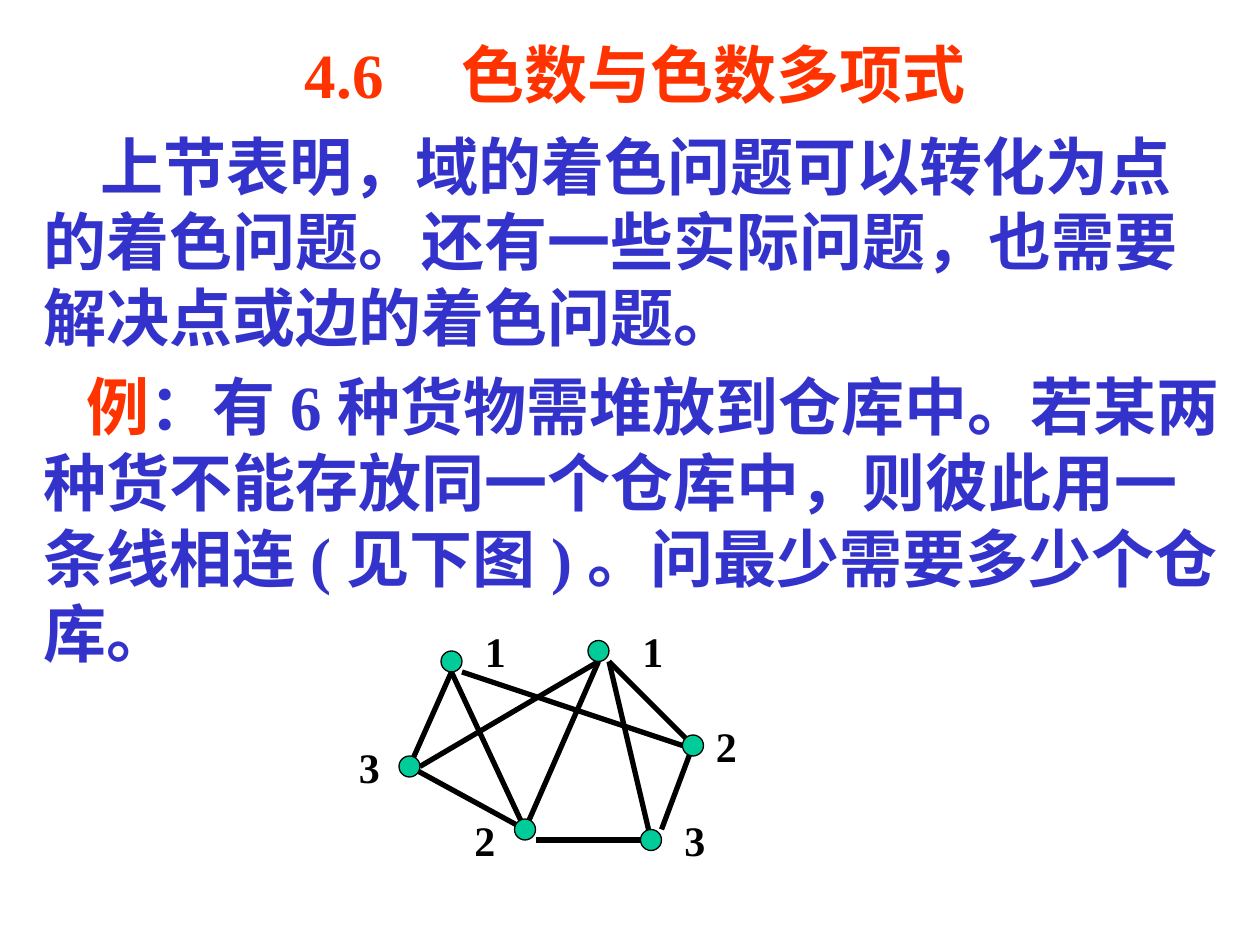
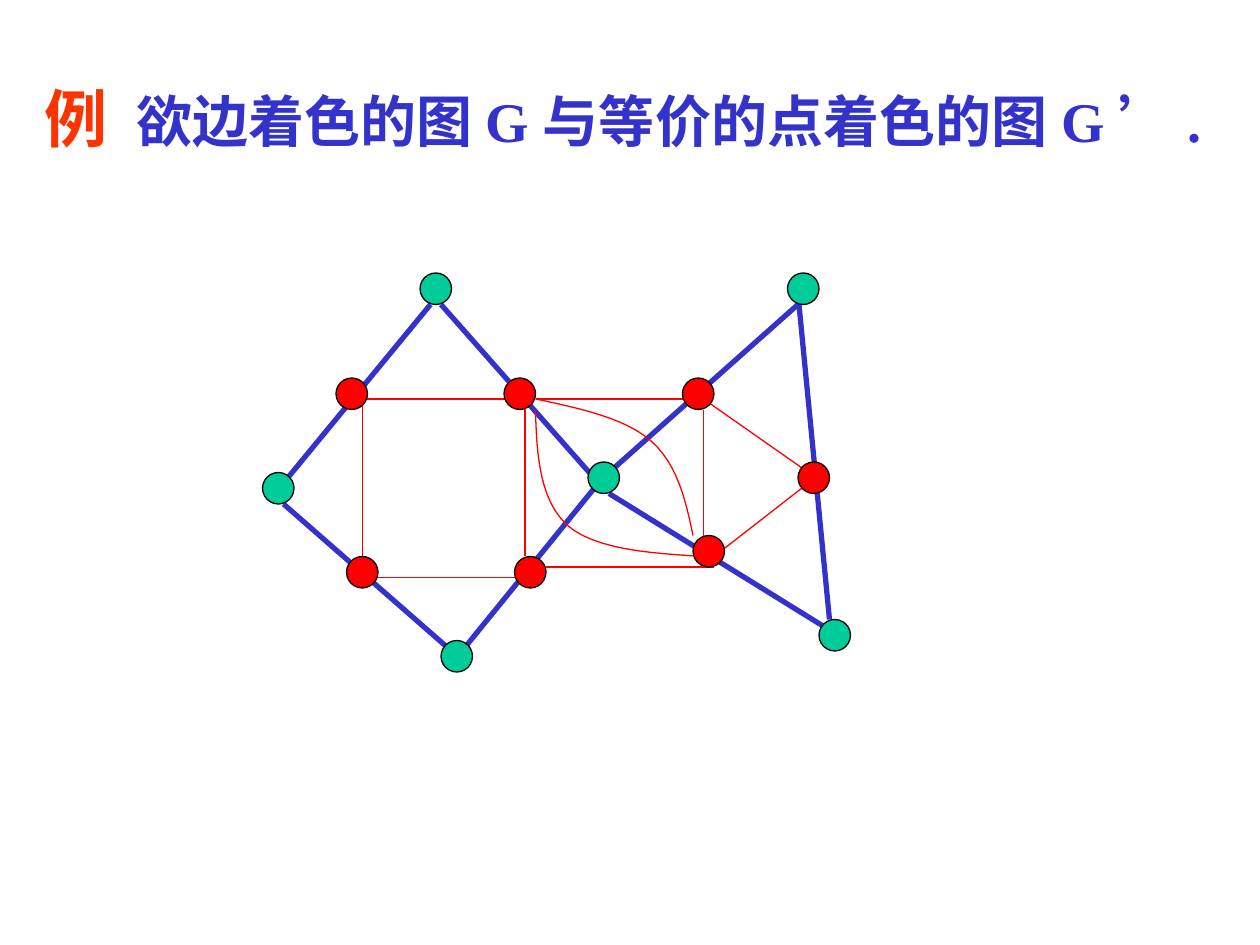
from lxml.etree import SubElement
from pptx import Presentation
from pptx.dml.color import RGBColor
from pptx.enum.shapes import MSO_CONNECTOR, MSO_SHAPE
from pptx.enum.text import MSO_ANCHOR, MSO_AUTO_SIZE, PP_ALIGN
from pptx.oxml.ns import qn
from pptx.util import Inches, Pt

COLORS = {key: RGBColor.from_string(value) for key, value in {
    "heading": "FF3300", "body": "3333CC", "black": "000000",
    "green": "00CC99", "red": "FF0000"}.items()}
FONT = "Times New Roman"

presentation = Presentation()
presentation.slide_width, presentation.slide_height = Inches(10), Inches(7.5)
UNIT = presentation.slide_width // 120
TEXT_LEFT, TEXT_WIDTH = 3 * UNIT, 115 * UNIT


def draw_edges(slide, edges, color, width):
    for start_x, start_y, end_x, end_y in edges:
        edge = slide.shapes.add_connector(
            MSO_CONNECTOR.STRAIGHT, int(start_x * UNIT), start_y * UNIT,
            int(end_x * UNIT), end_y * UNIT)
        edge.line.color.rgb = COLORS[color]
        edge.line.width = Pt(width)
        SubElement(edge.element.spPr, qn("a:effectLst"))


def draw_nodes(slide, nodes, size, color):
    for column, row in nodes:
        node = slide.shapes.add_shape(
            MSO_SHAPE.OVAL, column * UNIT, row * UNIT, size * UNIT, size * UNIT)
        node.shadow.inherit = False
        node.fill.solid()
        node.fill.fore_color.rgb = COLORS[color]
        node.line.color.rgb = COLORS["black"]
        node.line.width = Pt(0.75)


slides = []
headings = [
    (0.23, PP_ALIGN.CENTER, [("4.6　色数与色数多项式", 36, "heading")]),
    (0.58, PP_ALIGN.LEFT, [("例\t", 36, "heading"),
                           ("欲边着色的图G与等价的点着色的图G’.", 32, "body")]),
]
for top, alignment, runs in headings:
    slide = presentation.slides.add_slide(presentation.slide_layouts[5])
    slides.append(slide)
    title = slide.shapes.title
    title.left, title.top = TEXT_LEFT, Inches(top)
    title.width, title.height = TEXT_WIDTH, Inches(0.7)
    frame = title.text_frame
    frame.word_wrap = True
    frame.auto_size = MSO_AUTO_SIZE.NONE
    frame.vertical_anchor = MSO_ANCHOR.TOP
    paragraph = frame.paragraphs[0]
    paragraph.alignment = alignment
    if alignment == PP_ALIGN.LEFT:
        tabs = SubElement(paragraph._p.get_or_add_pPr(), qn("a:tabLst"))
        SubElement(tabs, qn("a:tab"), pos=str(Inches(0.73)), algn="l")
    paragraph.font.name = FONT
    paragraph.font.bold = True
    for text, size, color in runs:
        run = paragraph.add_run()
        run.text = text
        run.font.size = Pt(size)
        run.font.color.rgb = COLORS[color]

warehouse_slide, equivalence_slide = slides

body = warehouse_slide.shapes.add_textbox(
    TEXT_LEFT, Inches(0.96), TEXT_WIDTH, Inches(4.41))
body.text_frame.word_wrap = True
body_paragraphs = [
    (0.45, 0, [("上节表明，域的着色问题可以转化为点的着色问题。还有一些实际问题，也需要解决点或边的着色问题。", "body")]),
    (0.34, 8, [("例", "heading"),
               ("：有6种货物需堆放到仓库中。若某两种货不能存放同一个仓库中，则彼此用一条线相连(见下图)。问最少需要多少个仓库。", "body")]),
]
for index, (indent, space_before, runs) in enumerate(body_paragraphs):
    frame = body.text_frame
    paragraph = frame.add_paragraph() if index else frame.paragraphs[0]
    paragraph._p.get_or_add_pPr().set("indent", str(Inches(indent)))
    paragraph.space_before = Pt(space_before)
    paragraph.font.name = FONT
    paragraph.font.size = Pt(36)
    paragraph.font.bold = True
    for text, color in runs:
        run = paragraph.add_run()
        run.text = text
        run.font.color.rgb = COLORS[color]

conflict_edges = [
    (58, 63, 66, 71), (43, 64, 39, 73), (57, 63, 40, 73), (57, 63, 50, 79),
    (58, 63, 62, 80), (39, 73, 50, 79), (51, 80, 61, 80), (66, 71, 63, 79),
    (44, 64, 65, 71), (43, 64, 50, 79)]
goods = [(42, 62), (65, 70), (56, 61), (38, 72), (49, 78), (61, 79)]
draw_edges(warehouse_slide, conflict_edges, "black", 3)
draw_nodes(warehouse_slide, goods, 2, "green")

warehouse_labels = [("1", 45, 59), ("3", 33, 70), ("2", 44, 77),
                    ("1", 60, 59), ("2", 67, 68), ("3", 64, 77)]
for text, column, row in warehouse_labels:
    label = warehouse_slide.shapes.add_textbox(
        column * UNIT, row * UNIT, 5 * UNIT, 6 * UNIT)
    label.text_frame.word_wrap = True
    paragraph = label.text_frame.paragraphs[0]
    paragraph.text = text
    paragraph.font.name = FONT
    paragraph.font.size = Pt(24)
    paragraph.font.bold = True
    paragraph.font.color.rgb = COLORS["black"]

graph_edges = [
    (41, 29, 27, 46), (27, 48, 43, 62), (57, 46, 44, 62), (42, 29, 57, 46),
    (76, 28, 79, 59), (76, 29, 58, 45), (58, 47, 79, 60)]
graph_nodes = [(40, 26), (78, 59), (42, 61), (25, 45), (75, 26), (56, 44)]
draw_edges(equivalence_slide, graph_edges, "body", 3)
draw_nodes(equivalence_slide, graph_nodes, 3, "green")

adjacency_edges = [
    (34, 38, 49, 38), (35, 55, 51, 55), (34.5, 38, 34.5, 53),
    (50, 38, 50, 53), (51, 38, 66, 38), (51, 54, 68, 54),
    (67, 39, 67, 52), (77, 46, 68, 53), (67, 38, 77, 45)]
draw_edges(equivalence_slide, adjacency_edges, "red", 0.75)

adjacency_curves = [
    [(51, 38), (55.2, 38.9), (59.5, 39.8), (62, 42),
     (64.5, 44.2), (65.3, 47.6), (66, 51)],
    [(51, 39), (51.1, 43.3), (51.4, 47.6), (54, 50),
     (56.6, 52.3), (61.8, 52.7), (67, 53)]]
STEPS = 12
for controls in adjacency_curves:
    points = []
    for first in (0, 3):
        for step in range(1, STEPS + 1):
            t = step / STEPS
            weights = ((1 - t) ** 3, 3 * t * (1 - t) ** 2, 3 * t * t * (1 - t), t ** 3)
            points.append(tuple(
                UNIT * sum(weight * control[axis] for weight, control
                           in zip(weights, controls[first:first + 4]))
                for axis in (0, 1)))
    start_x, start_y = controls[0]
    builder = equivalence_slide.shapes.build_freeform(start_x * UNIT, start_y * UNIT)
    builder.add_line_segments(points, close=False)
    curve = builder.convert_to_shape()
    curve.shadow.inherit = False
    curve.fill.background()
    curve.line.color.rgb = COLORS["red"]
    curve.line.width = Pt(0.75)

edge_nodes = [(66, 51), (76, 44), (65, 36), (49, 53), (48, 36), (33, 53), (32, 36)]
draw_nodes(equivalence_slide, edge_nodes, 3, "red")

presentation.save("out.pptx")
